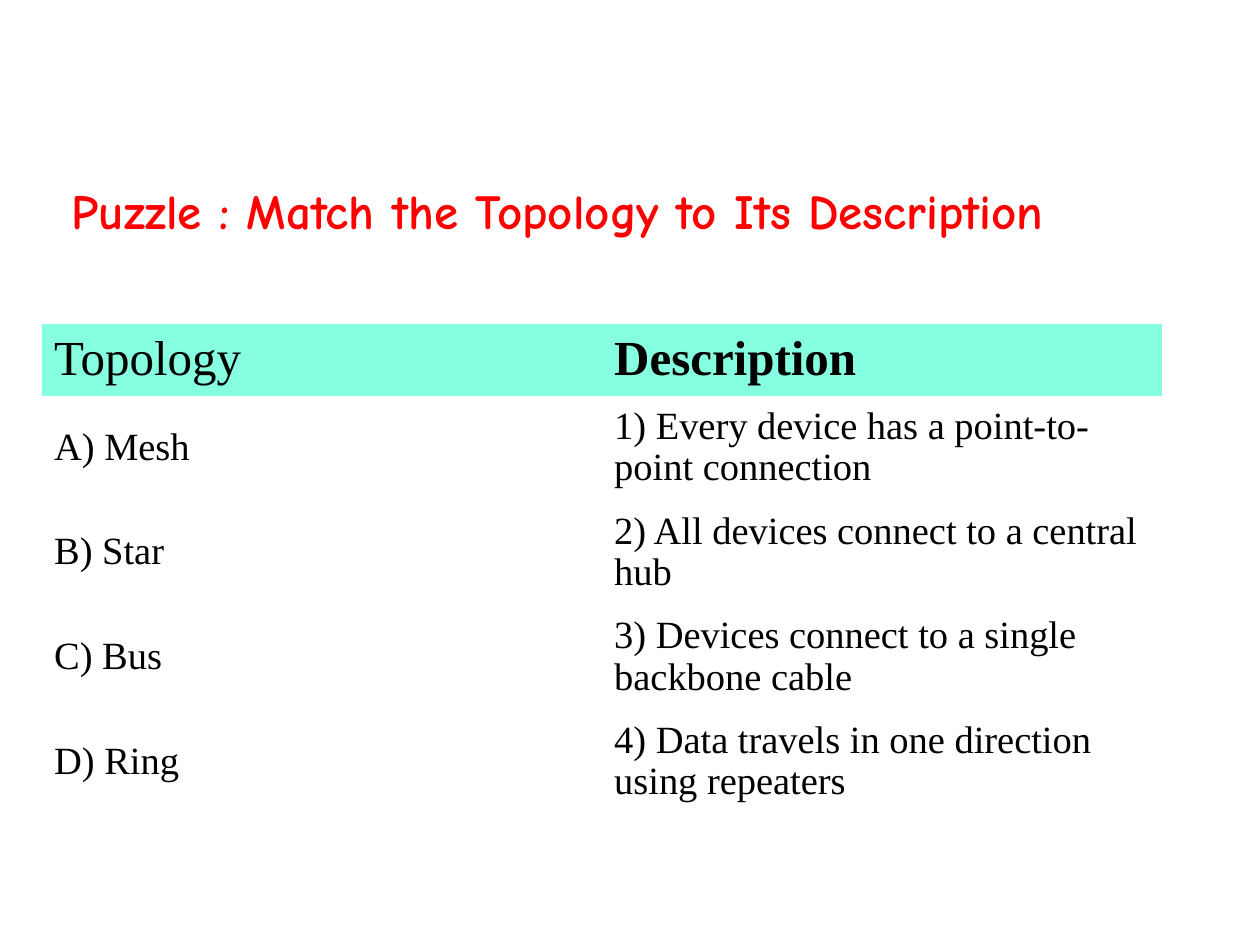
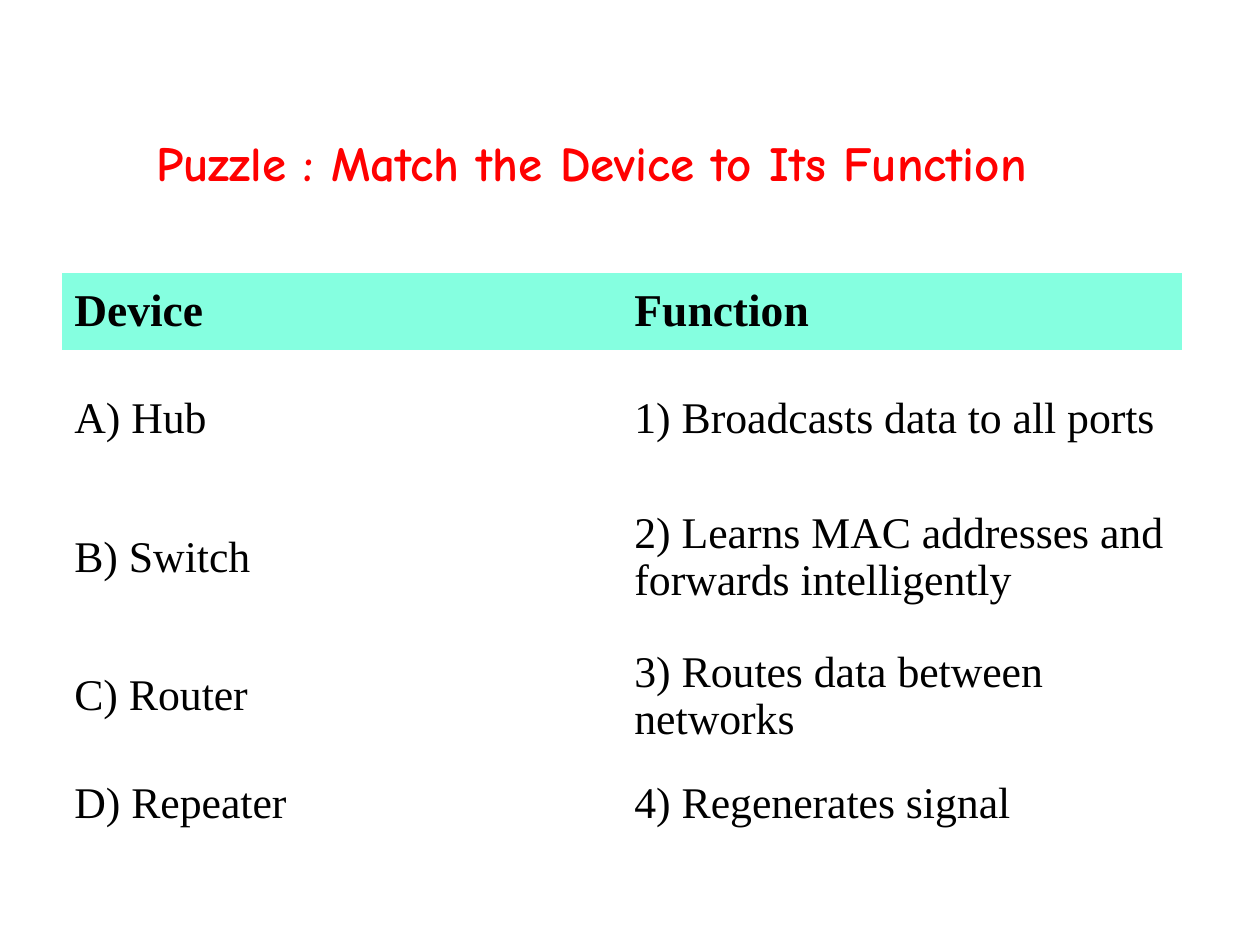
import pptx
import pptx.util
import pptx.dml.color
import pptx.enum.text
import pptx.oxml.ns

Inches = pptx.util.Inches
ANCHOR = pptx.enum.text.MSO_ANCHOR
ALIGN = pptx.enum.text.PP_ALIGN


def rgb(value):
    return pptx.dml.color.RGBColor.from_string(value)


def set_text(tf, text, font, size, color, bold=False, align=ALIGN.LEFT):
    p = tf.paragraphs[0]
    p.alignment = align
    p.line_spacing = 0.97
    r = p.add_run()
    r.text = text
    r.font.name = font
    r.font.size = pptx.util.Pt(size)
    r.font.bold = bold
    r.font.color.rgb = rgb(color)


class Deck:
    TITLE_FONT = "Comic Neue"
    BODY_FONT = "Times New Roman"
    TITLE_COLOR = "FF0000"
    BODY_COLOR = "000000"
    HEADER_FILL = "85FFE0"
    PLAIN_TABLE = "{2D5ABB26-0587-4C30-8999-92F81FD0307C}"

    def __init__(self):
        self.prs = pptx.Presentation()
        self.prs.slide_width = Inches(10)
        self.prs.slide_height = Inches(7.5)
        self.s = None

    def add_slide(self):
        self.s = self.prs.slides.add_slide(self.prs.slide_layouts[5])

    def title(self, text, x, y, w, h, inset_top, align):
        sp = self.s.shapes.title
        sp.left, sp.top, sp.width, sp.height = map(Inches, (x, y, w, h))
        tf = sp.text_frame
        tf.auto_size = pptx.enum.text.MSO_AUTO_SIZE.NONE
        tf.word_wrap = True
        tf.vertical_anchor = ANCHOR.TOP
        tf.margin_top = Inches(inset_top)
        set_text(tf, text, self.TITLE_FONT, 28, self.TITLE_COLOR,
                 bold=True, align=align)

    def table(self, rows, x, y, heights, header_size, body_size, bold_headers):
        width = 8.89
        columns = len(rows[0])
        sp = self.s.shapes.add_table(len(rows), columns, Inches(x), Inches(y),
                                     Inches(width), Inches(sum(heights)))
        style = next(sp.element.iter(pptx.oxml.ns.qn("a:tableStyleId")))
        style.text = self.PLAIN_TABLE
        table = sp.table
        table.horz_banding = False
        for row, height in zip(table.rows, heights):
            row.height = Inches(height)
        for i, row in enumerate(rows):
            header = i == 0
            for j, text in enumerate(row):
                cell = table.cell(i, j)
                cell.vertical_anchor = ANCHOR.MIDDLE
                if header:
                    cell.fill.solid()
                    cell.fill.fore_color.rgb = rgb(self.HEADER_FILL)
                else:
                    cell.fill.background()
                set_text(cell.text_frame, text, self.BODY_FONT,
                         header_size if header else body_size,
                         self.BODY_COLOR, bold=header and bold_headers[j])


def main():
    deck = Deck()

    deck.add_slide()
    deck.title("Puzzle : Match the Topology to Its Description",
               0.47, 1.38, 9.05, 1.04, inset_top=0.08, align=ALIGN.LEFT)
    topologies = [
        ("Topology", "Description"),
        ("A) Mesh", "1) Every device has a point-to-point connection"),
        ("B) Star", "2) All devices connect to a central hub"),
        ("C) Bus", "3) Devices connect to a single backbone cable"),
        ("D) Ring", "4) Data travels in one direction using repeaters"),
    ]
    deck.table(topologies, 0.33, 2.57, [0.57] + [0.83] * 4,
               header_size=28, body_size=22, bold_headers=(False, True))

    deck.add_slide()
    deck.title("Puzzle : Match the Device to Its Function",
               0.25, 1.08, 8.89, 0.87, inset_top=0, align=ALIGN.CENTER)
    devices = [
        ("Device", "Function"),
        ("A) Hub", "1) Broadcasts data to all ports"),
        ("B) Switch", "2) Learns MAC addresses and forwards intelligently"),
        ("C) Router", "3) Routes data between networks"),
        ("D) Repeater", "4) Regenerates signal"),
    ]
    deck.table(devices, 0.49, 2.17, [0.61] + [1.1] * 3 + [0.61],
               header_size=26, body_size=25, bold_headers=(True, True))

    deck.prs.save("out.pptx")


if __name__ == "__main__":
    main()
